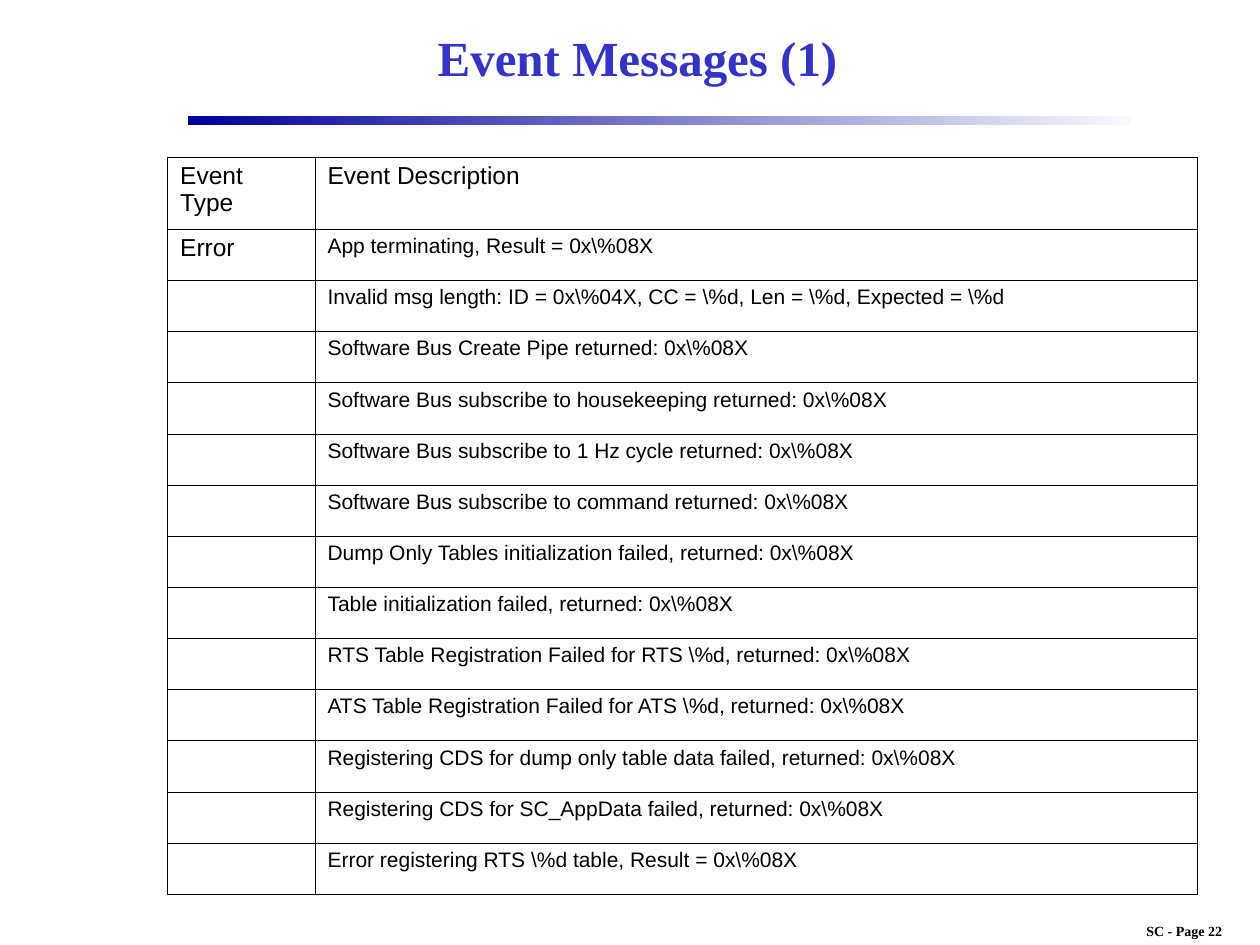
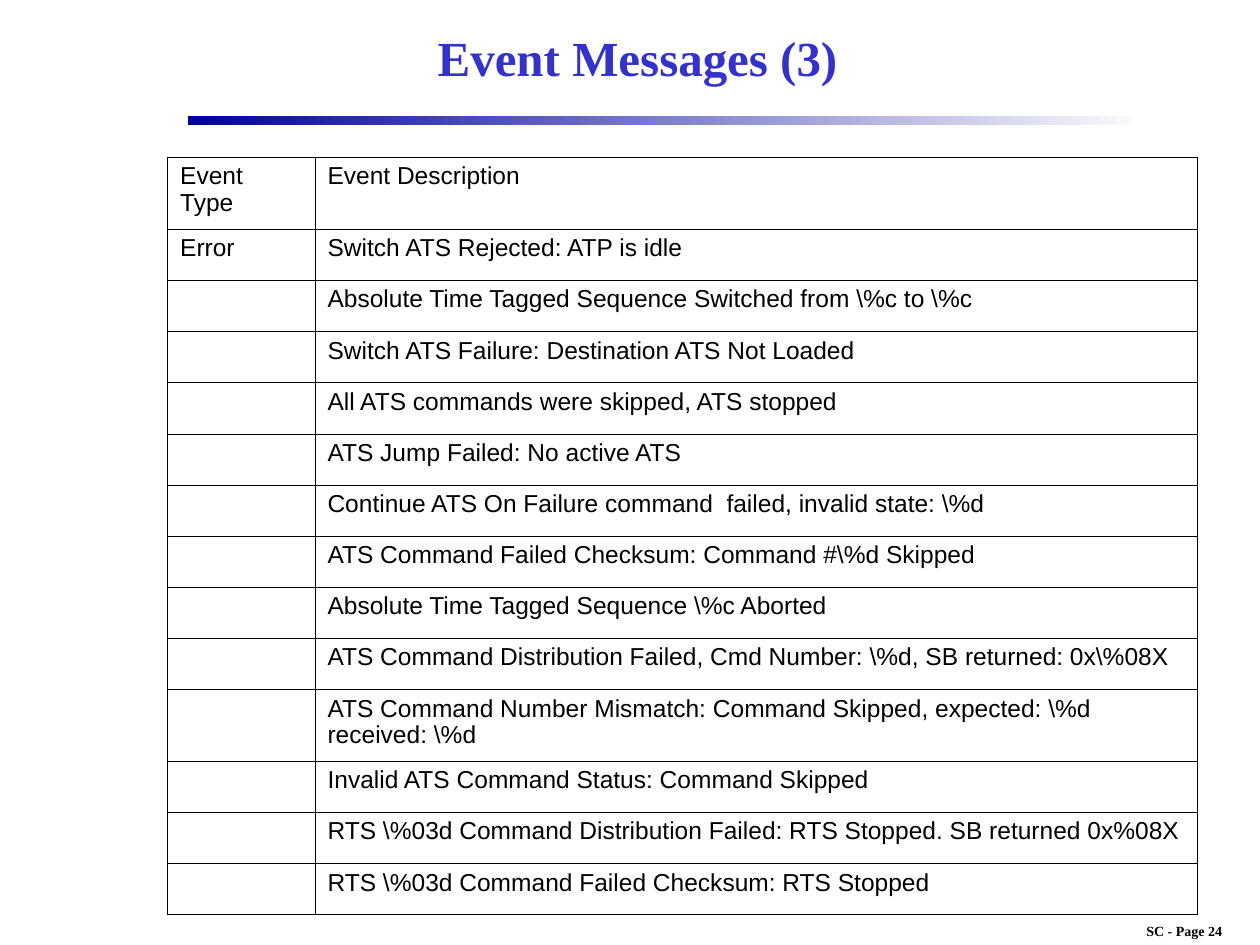
from lxml.etree import SubElement
from pptx import Presentation
from pptx.dml.color import RGBColor
from pptx.enum.shapes import MSO_SHAPE
from pptx.enum.text import MSO_ANCHOR, MSO_AUTO_SIZE, PP_ALIGN
from pptx.oxml.ns import qn
from pptx.util import Inches, Pt

COLORS = {
    "title": "3333CC",
    "text": "000000",
    "border": "000000",
    "band_start": "000099",
    "band_end": "F9F9FD",
}
TITLE_FONT = "Times New Roman"
TABLE_FONT = "Arial"
LABEL_SIZE = 14
COLUMN_WIDTHS = (1.17, 7)
TALL_ROW = 0.57
ROW = (5.85 - TALL_ROW) / 13

STARTUP_ERRORS = [
    r"App terminating, Result = 0x\%08X",
    r"Invalid msg length: ID = 0x\%04X, CC = \%d, Len = \%d, Expected = \%d",
    r"Software Bus Create Pipe returned: 0x\%08X",
    r"Software Bus subscribe to housekeeping returned: 0x\%08X",
    r"Software Bus subscribe to 1 Hz cycle returned: 0x\%08X",
    r"Software Bus subscribe to command returned: 0x\%08X",
    r"Dump Only Tables initialization failed, returned: 0x\%08X",
    r"Table initialization failed, returned: 0x\%08X",
    r"RTS Table Registration Failed for RTS \%d, returned: 0x\%08X",
    r"ATS Table Registration Failed for ATS \%d, returned: 0x\%08X",
    r"Registering CDS for dump only table data failed, returned: 0x\%08X",
    r"Registering CDS for SC_AppData failed, returned: 0x\%08X",
    r"Error registering RTS \%d table, Result = 0x\%08X",
]
SEQUENCE_ERRORS = [
    "Switch ATS Rejected: ATP is idle",
    r"Absolute Time Tagged Sequence Switched from \%c to \%c",
    "Switch ATS Failure: Destination ATS Not Loaded",
    "All ATS commands were skipped, ATS stopped",
    "ATS Jump Failed: No active ATS",
    r"Continue ATS On Failure command  failed, invalid state: \%d",
    r"ATS Command Failed Checksum: Command #\%d Skipped",
    r"Absolute Time Tagged Sequence \%c Aborted",
    r"ATS Command Distribution Failed, Cmd Number: \%d, SB returned: 0x\%08X",
    r"ATS Command Number Mismatch: Command Skipped, expected: \%d received: \%d",
    "Invalid ATS Command Status: Command Skipped",
    r"RTS \%03d Command Distribution Failed: RTS Stopped. SB returned 0x%08X",
    r"RTS \%03d Command Failed Checksum: RTS Stopped",
]


def color(name):
    return RGBColor.from_string(COLORS[name])


def add_span(para, text, size, font, color_name="text", bold=False):
    span = para.add_run()
    span.text = text
    span.font.size = Pt(size)
    span.font.name = font
    span.font.bold = bold
    span.font.color.rgb = color(color_name)


def add_centred_text(page, place, text, size, color_name, wrap):
    box = page.shapes.add_textbox(*map(Inches, place))
    frame = box.text_frame
    frame.word_wrap = wrap
    frame.vertical_anchor = MSO_ANCHOR.MIDDLE if wrap else MSO_ANCHOR.TOP
    frame.auto_size = MSO_AUTO_SIZE.NONE if wrap else MSO_AUTO_SIZE.SHAPE_TO_FIT_TEXT
    para = frame.paragraphs[0]
    para.alignment = PP_ALIGN.CENTER
    add_span(para, text, size, TITLE_FONT, color_name, bold=True)


def add_band(page):
    band = page.shapes.add_shape(
        MSO_SHAPE.RECTANGLE, Inches(1.49), Inches(0.92), Inches(7.49), Inches(0.07))
    band.shadow.inherit = False
    band.line.fill.background()
    band.fill.gradient()
    band.fill.gradient_angle = 0
    for stop, name, position in zip(
            band.fill.gradient_stops, ("band_start", "band_end"), (0, 1)):
        stop.color.rgb = color(name)
        stop.position = position


def style_cell(cell):
    properties = cell._tc.get_or_add_tcPr()
    for side in ("lnL", "lnR", "lnT", "lnB"):
        line = SubElement(properties, qn(f"a:{side}"), w=str(int(Pt(0.45))))
        fill = SubElement(line, qn("a:solidFill"))
        SubElement(fill, qn("a:srgbClr"), val=COLORS["border"])
    cell.fill.background()


def fill_cell(cell, text, size):
    style_cell(cell)
    para = cell.text_frame.paragraphs[0]
    para.line_spacing = 0.96
    if text:
        add_span(para, text, size, TABLE_FONT)
    else:
        para.font.size = Pt(size)


def add_event_table(page, messages, message_size, tall_rows):
    rows = [("Event Type", "Event Description")]
    rows += [("" if index else "Error", message) for index, message in enumerate(messages)]
    heights = [TALL_ROW if index in tall_rows else ROW for index in range(len(rows))]
    table = page.shapes.add_table(
        len(rows), len(COLUMN_WIDTHS), Inches(1.33), Inches(1.25),
        Inches(sum(COLUMN_WIDTHS)), Inches(sum(heights))).table
    table.first_row = False
    table.horz_banding = False
    for column, width in zip(table.columns, COLUMN_WIDTHS):
        column.width = Inches(width)
    for index, (label, message) in enumerate(rows):
        table.rows[index].height = Inches(heights[index])
        fill_cell(table.cell(index, 0), label, LABEL_SIZE)
        fill_cell(table.cell(index, 1), message, message_size if index else LABEL_SIZE)


def add_event_page(deck, part, number, messages, message_size, tall_rows):
    page = deck.slides.add_slide(deck.slide_layouts[6])
    add_centred_text(page, (8.8, 7.27, 1.2, 0.23), f"SC - Page {number}", 8, "text", False)
    add_band(page)
    add_centred_text(
        page, (1.53, 0.08, 7.06, 0.75), f"Event Messages ({part})", 28, "title", True)
    add_event_table(page, messages, message_size, tall_rows)


def main():
    deck = Presentation()
    deck.slide_width = Inches(10)
    deck.slide_height = Inches(7.5)
    add_event_page(deck, 1, 22, STARTUP_ERRORS, 12, {0})
    add_event_page(deck, 3, 24, SEQUENCE_ERRORS, 14, {0, 10})
    deck.save("out.pptx")


main()
